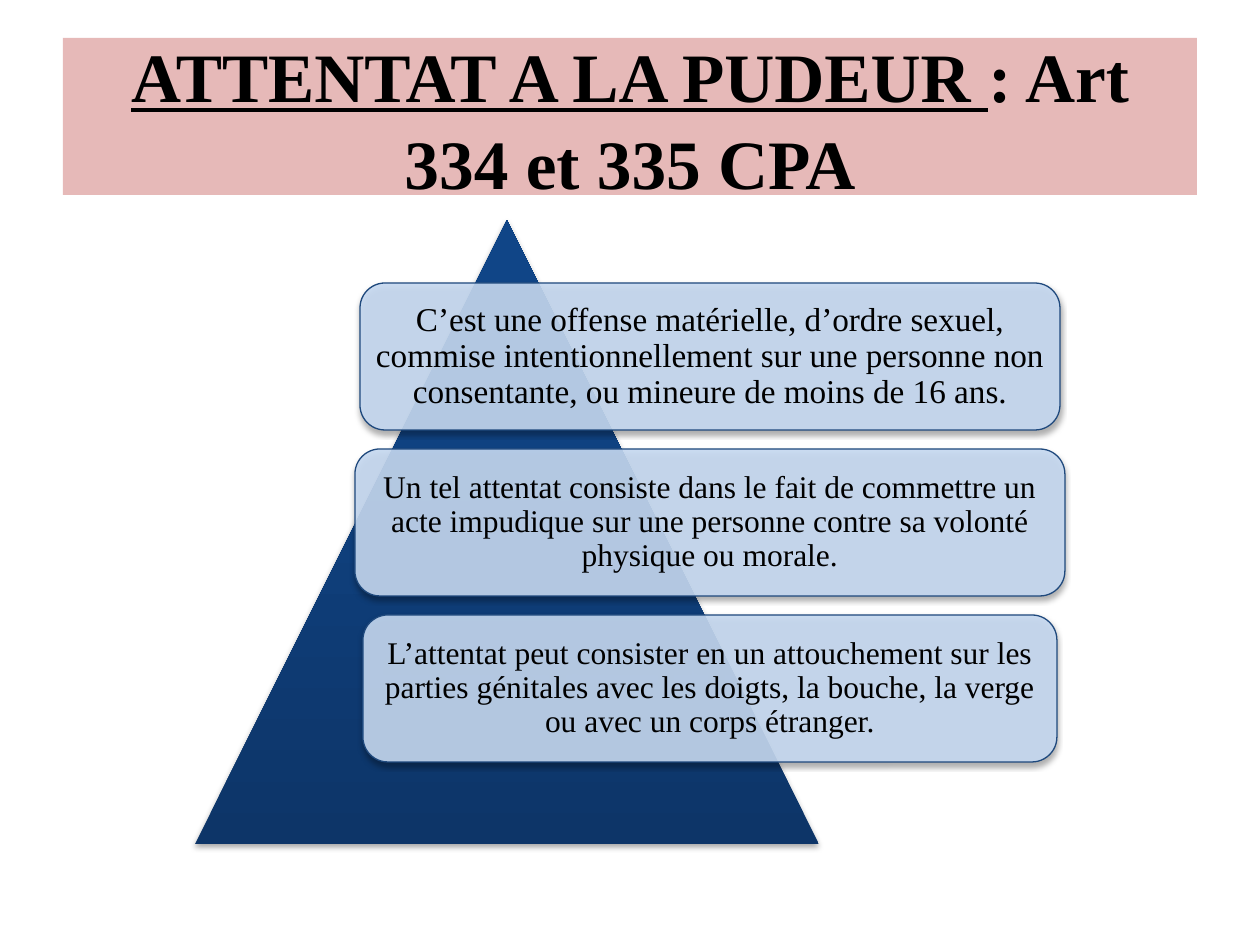
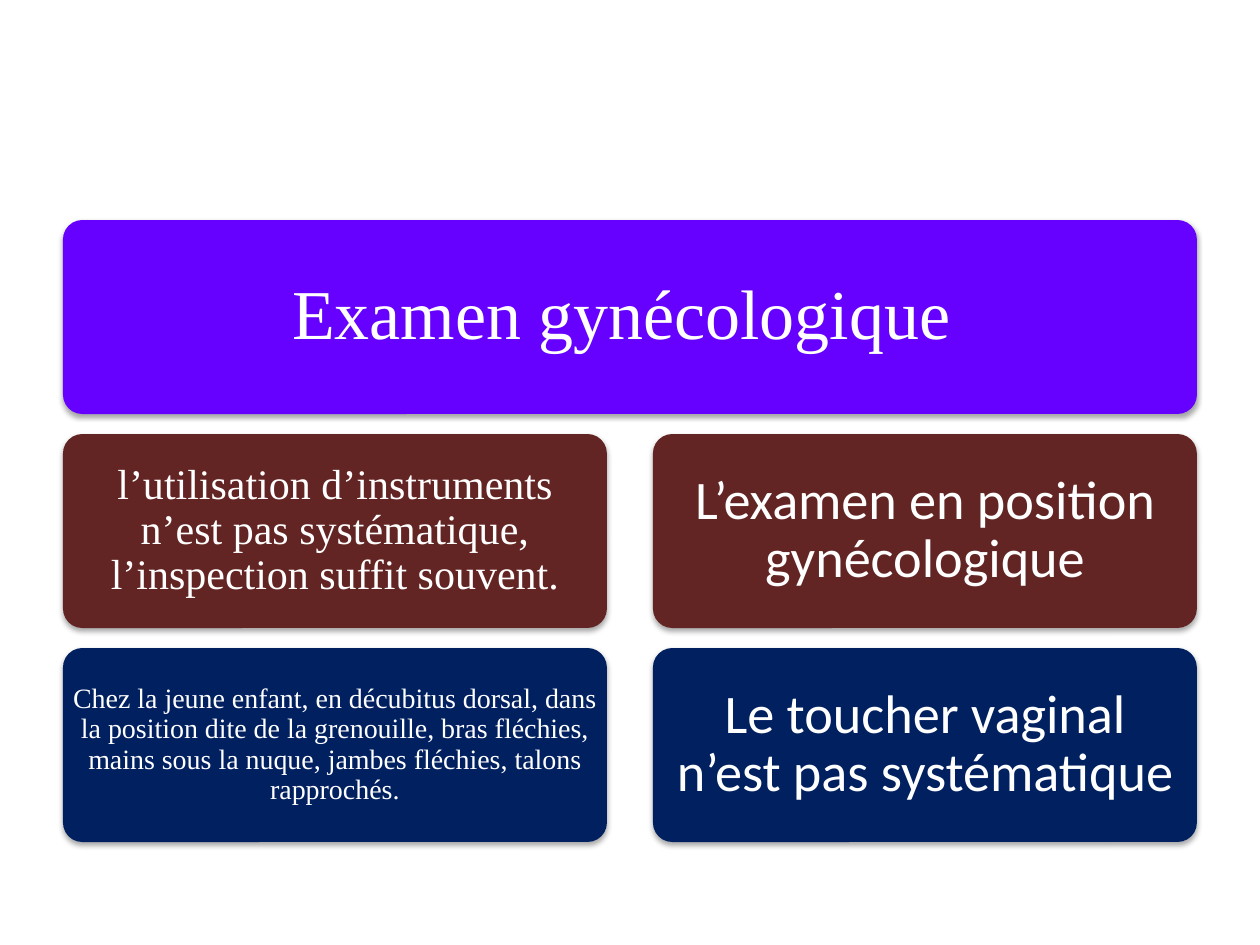
from lxml import etree
from pptx import Presentation
from pptx.dml.color import RGBColor
from pptx.enum.shapes import MSO_SHAPE
from pptx.enum.text import MSO_ANCHOR, PP_ALIGN
from pptx.oxml.ns import qn
from pptx.util import Pt

PX = 914400 // 126
RECTANGLE = MSO_SHAPE.RECTANGLE
TRIANGLE = MSO_SHAPE.ISOSCELES_TRIANGLE
ROUNDED = MSO_SHAPE.ROUNDED_RECTANGLE
MIDDLE = MSO_ANCHOR.MIDDLE
CENTER = PP_ALIGN.CENTER

SERIF, SANS = "Times New Roman", "Calibri"
BLACK, WHITE = "000000", "FFFFFF"
TITLE_PINK = "E6B9B8"
PYRAMID_DARK, PYRAMID_LIGHT = "0D3568", "104587"
CARD_BLUE, CARD_EDGE = "C6D9F1", "1F497D"
VIOLET, MAROON, NAVY = "6600FF", "632523", "002060"

LEFT, FULL_WIDTH = 63, 1134
BODY_TOP = 220


def rgb(value):
    return RGBColor.from_string(value)


def add_effect_child(parent, tag, **attributes):
    child = etree.SubElement(parent, qn(tag))
    for key, value in attributes.items():
        child.set(key, str(value))
    return child


def add_soft_shadow(shape):
    effects = shape._element.spPr.find(qn("a:effectLst"))
    shadow = add_effect_child(effects, "a:outerShdw", blurRad=Pt(3.1), dist=Pt(1.8),
                              dir=5400000, rotWithShape=0)
    color = add_effect_child(shadow, "a:srgbClr", val=BLACK)
    add_effect_child(color, "a:alpha", val=35000)


def add_block(slide, kind, box, fill=None, edge=None, soft_shadow=True):
    shape = slide.shapes.add_shape(kind, *(length * PX for length in box))
    if fill:
        shape.fill.solid()
        shape.fill.fore_color.rgb = rgb(fill)
    if edge:
        shape.line.color.rgb = rgb(edge)
        shape.line.width = Pt(0.75)
    else:
        shape.line.fill.background()
    shape.shadow.inherit = False
    if soft_shadow:
        add_soft_shadow(shape)
    return shape


def write(shape, *runs, size, color=BLACK, font=SERIF, bold=False, spacing=0.9, inset=(0, 0)):
    """Each run is a pair of text and whether it is underlined."""
    frame = shape.text_frame
    frame.word_wrap = True
    frame.vertical_anchor = MIDDLE
    frame.margin_left = frame.margin_right = inset[0] * PX
    frame.margin_top = frame.margin_bottom = inset[1] * PX
    paragraph = frame.paragraphs[0]
    paragraph.alignment = CENTER
    paragraph.line_spacing = spacing
    for text, underlined in runs:
        run = paragraph.add_run()
        run.text = text
        run.font.name, run.font.size, run.font.bold = font, Pt(size), bold
        run.font.underline = underlined
        run.font.color.rgb = rgb(color)


def add_card(slide, box, text, padding, fill, corner, edge=None, **style):
    """Rounded card; padding is measured from its outer edge."""
    card = add_block(slide, ROUNDED, box, fill, edge)
    card.adjustments[0] = corner
    corner_inset = round(0.29 * corner * box[3])
    inset = padding - corner_inset
    write(card, (text, False), inset=(inset, inset), **style)
    return card


def add_title(slide, box, *runs):
    band = add_block(slide, RECTANGLE, box, TITLE_PINK, soft_shadow=False)
    write(band, *runs, size=39.6, bold=True, spacing=1.04, inset=(12, 6))


def add_pyramid(slide, box):
    pyramid = add_block(slide, TRIANGLE, box)
    pyramid.fill.gradient()
    pyramid.fill.gradient_angle = 90
    stops = zip(pyramid.fill.gradient_stops, (PYRAMID_DARK, PYRAMID_LIGHT), (0, 0.8))
    for stop, color, position in stops:
        stop.color.rgb = rgb(color)
        stop.position = position


def add_definitions(slide, box, definitions):
    """Translucent cards stacked around the centre line of the box."""
    left, top, width, height = box
    gap = 19
    card_height = (height - gap * (len(definitions) - 1)) // len(definitions)
    for row, (text, card_width, size, padding) in enumerate(definitions):
        place = (left + (width - card_width) // 2, top + row * (card_height + gap),
                 card_width, card_height)
        card = add_card(slide, place, text, padding, CARD_BLUE, 0.17, CARD_EDGE, size=size)
        color = card._element.spPr.find(qn("a:solidFill"))[0]
        add_effect_child(color, "a:alpha", val=90000)


def add_exam_grid(slide, box, heading, rows):
    """Full-width heading above rows of two cards."""
    left, top, width, height = box
    column_gap, row_gap = 46, 20
    column_width = (width - column_gap) // 2
    row_height = (height - row_gap * len(rows)) // (len(rows) + 1)
    shared = {"corner": 0.1, "color": WHITE}
    add_card(slide, (left, top, width, row_height), heading, 21, VIOLET, size=40, **shared)
    for row, (fill, cells) in enumerate(rows, start=1):
        for column, (text, size, font, padding) in enumerate(cells):
            place = (left + column * (column_width + column_gap),
                     top + row * (row_height + row_gap), column_width, row_height)
            add_card(slide, place, text, padding, fill, size=size, font=font, **shared)


def build_assault_slide(slide):
    add_title(slide, (LEFT, 38, FULL_WIDTH, 157),
              ("ATTENTAT A LA PUDEUR ", True), (": Art 334 et 335 CPA", False))
    add_pyramid(slide, (195, BODY_TOP, 624, 624))
    add_definitions(slide, (355, 283, 710, 480), [
        ("C’est une offense matérielle, d’ordre sexuel, commise intentionnellement sur "
         "une personne non consentante, ou mineure de moins de 16 ans.", 700, 19, 10),
        ("Un tel attentat consiste dans le fait de commettre un acte impudique sur une "
         "personne contre sa volonté physique ou morale.", 710, 18, 9),
        ("L’attentat peut consister en un attouchement sur les parties génitales avec "
         "les doigts, la bouche, la verge ou avec un corps étranger.", 694, 18, 9),
    ])


def build_exam_slide(slide):
    add_exam_grid(slide, (LEFT, BODY_TOP, FULL_WIDTH, 624), "Examen gynécologique ", [
        (MAROON, [
            ("l’utilisation d’instruments n’est pas systématique, l’inspection suffit "
             "souvent.", 24, SERIF, 13),
            ("L’examen en position gynécologique", 31, SANS, 16),
        ]),
        (NAVY, [
            ("Chez la jeune enfant, en décubitus dorsal, dans la position dite de la "
             "grenouille, bras fléchies, mains sous la nuque, jambes fléchies, talons "
             "rapprochés.", 16, SERIF, 9),
            ("Le toucher vaginal n’est pas systématique", 31, SANS, 16),
        ]),
    ])


def main():
    deck = Presentation()
    deck.slide_width, deck.slide_height = 1260 * PX, 945 * PX
    blank = deck.slide_layouts[6]
    for build in (build_assault_slide, build_exam_slide):
        build(deck.slides.add_slide(blank))
    deck.save("out.pptx")


if __name__ == "__main__":
    main()
